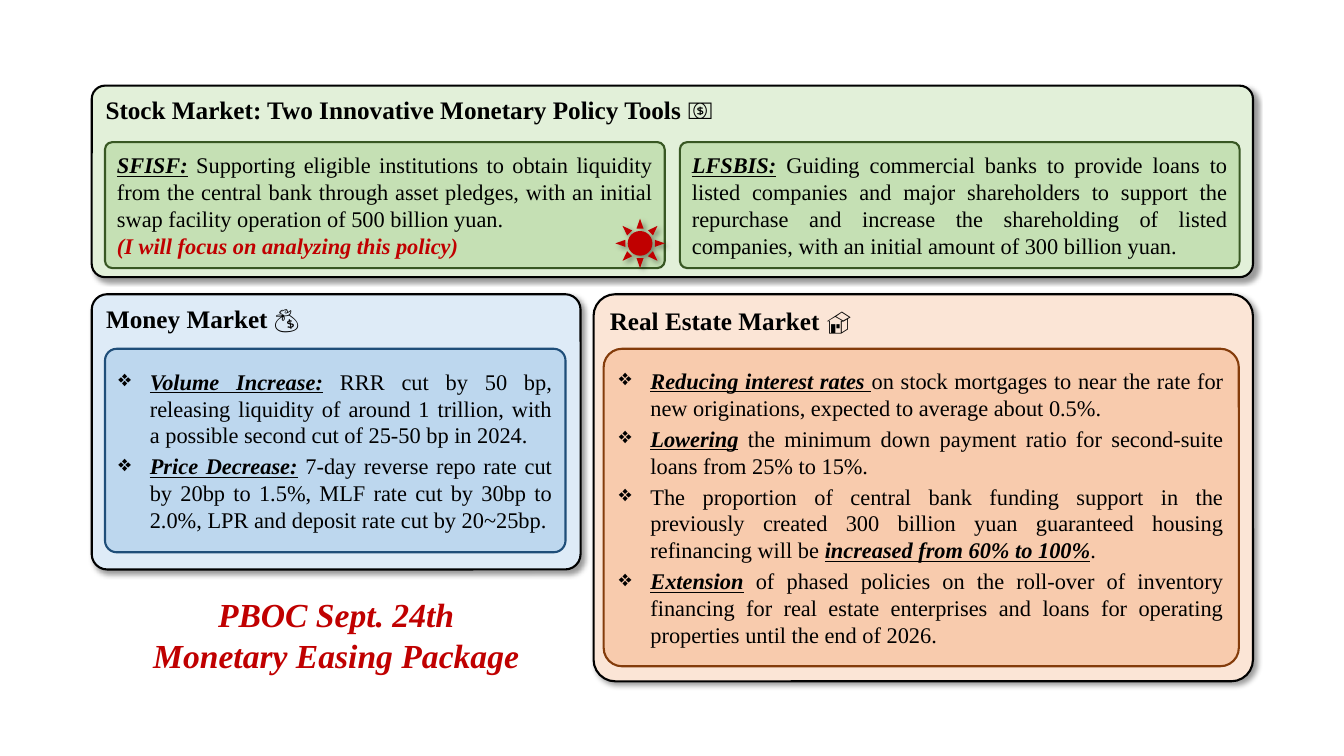
from lxml.etree import SubElement
from pptx import Presentation
from pptx.dml.color import RGBColor
from pptx.enum.shapes import MSO_SHAPE
from pptx.enum.text import MSO_ANCHOR, PP_ALIGN
from pptx.oxml.ns import qn
from pptx.util import Pt

FONT = "Times New Roman"
HEX = {
    "black": "000000", "red": "C00000",
    "mint": "E2F0D9", "green": "C5E0B4", "pine": "385723",
    "ice": "DEEBF7", "blue": "BDD7EE", "navy": "1F4E79",
    "cream": "FBE5D6", "peach": "F8CBAD", "brown": "843C0B",
}

SFISF = [
    [("SFISF:", "biu"), (" ", "b"),
     ("Supporting eligible institutions to obtain liquidity from the central bank "
      "through asset pledges, with an initial swap facility operation of 500 billion yuan.", "")],
    [("(I will focus on analyzing this policy)", "bir")],
]
LFSBIS = [
    [("LFSBIS:", "biu"), (" ", "bi"),
     ("Guiding commercial banks to provide loans to listed companies and major "
      "shareholders to support the repurchase and increase the shareholding of listed "
      "companies, with an initial amount of 300 billion yuan.", "")],
]
MONEY = [
    [("Volume Increase:", "biu"),
     (" RRR cut by 50 bp, releasing liquidity of around 1 trillion, "
      "with a possible second cut of 25-50 bp in 2024.", "")],
    [("Price Decrease:", "biu"),
     (" 7-day reverse repo rate cut by 20bp to 1.5%, MLF rate cut by 30bp to 2.0%, "
      "LPR and deposit rate cut by 20~25bp.", "")],
]
ESTATE = [
    [("Reducing interest rates ", "biu"),
     ("on stock mortgages to near the rate for new originations, "
      "expected to average about 0.5%.", "")],
    [("Lowering", "biu"),
     (" the minimum down payment ratio for second-suite loans from 25% to 15%.", "")],
    [("The proportion of central bank funding support in the previously created "
      "300 billion yuan guaranteed housing refinancing will be ", ""),
     ("increased from 60% to 100%", "biu"), (".", "")],
    [("Extension", "biu"),
     (" of phased policies on the roll-over of inventory financing for real estate "
      "enterprises and loans for operating properties until the end of 2026.", "")],
]


def color(name):
    return RGBColor.from_string(HEX[name])


def style(font, size, marks="", tint="black"):
    font.name = FONT
    font.size = Pt(size)
    font.bold = "b" in marks
    font.italic = "i" in marks
    font.underline = "u" in marks
    font.color.rgb = color("red" if "r" in marks else tint)


def add_shape(slide, kind, box, fill, line=None):
    shape = slide.shapes.add_shape(kind, *[Pt(n) for n in box])
    shape.shadow.inherit = False
    shape.fill.solid()
    shape.fill.fore_color.rgb = color(fill)
    if line:
        shape.line.color.rgb = color(line)
        shape.line.width = Pt(1.5)
    else:
        shape.line.fill.background()
    return shape


def add_shadow(shape):
    effects = shape._element.spPr.find(qn("a:effectLst"))
    outer = SubElement(effects, qn("a:outerShdw"), blurRad=str(Pt(4)), dist=str(Pt(3)),
                       dir="2700000", algn="tl", rotWithShape="0")
    tint = SubElement(outer, qn("a:srgbClr"), val=HEX["black"])
    SubElement(tint, qn("a:alpha"), val="40000")


def add_bullet(para):
    props = para._p.get_or_add_pPr()
    props.set("marL", str(Pt(22.5)))
    props.set("indent", str(-Pt(22.5)))
    SubElement(props, qn("a:buChar"), char="❖")
    para.space_after = Pt(3)


def add_panel(slide, box, title, fill, curve):
    panel = add_shape(slide, MSO_SHAPE.ROUNDED_RECTANGLE, box, fill, "black")
    panel.adjustments[0] = curve
    add_shadow(panel)
    frame = panel.text_frame
    frame.word_wrap = True
    frame.vertical_anchor = MSO_ANCHOR.TOP
    frame.text = title
    para = frame.paragraphs[0]
    para.alignment = PP_ALIGN.LEFT
    style(para.runs[0].font, 18, "b")


def add_card(slide, box, paras, fill, line, bullets=False):
    card = add_shape(slide, MSO_SHAPE.ROUNDED_RECTANGLE, box, fill, line)
    card.adjustments[0] = 0.058
    frame = card.text_frame
    frame.word_wrap = True
    frame.vertical_anchor = MSO_ANCHOR.MIDDLE
    for i, parts in enumerate(paras):
        para = frame.add_paragraph() if i else frame.paragraphs[0]
        para.alignment = PP_ALIGN.JUSTIFY
        if bullets:
            add_bullet(para)
        for text, marks in parts:
            run = para.add_run()
            run.text = text
            style(run.font, 16, marks)


def add_stock(slide, box):
    left, top, width, height = box
    add_panel(slide, box, "Stock Market: Two Innovative Monetary Policy Tools 💵", "mint", 0.07)
    pad, gap, sun = 9.5, 10.8, 35.3
    wide, tall = (width - 2 * pad - gap) / 2, 90
    y = top + 40.3
    for i, paras in enumerate((SFISF, LFSBIS)):
        x = left + pad + i * (wide + gap)
        add_card(slide, (x, y, wide, tall), paras, "green", "pine")
    spot = (left + pad + wide - sun, y + tall - sun, sun, sun)
    add_shadow(add_shape(slide, MSO_SHAPE.SUN, spot, "red"))


def add_market(slide, box, title, paras, shades, pads):
    left, top, width, height = box
    fill, inner, line = shades
    west, east, south = pads
    head = 38.9
    add_panel(slide, box, title, fill, 0.056)
    card = (left + west, top + head, width - west - east, height - head - south)
    add_card(slide, card, paras, inner, line, True)


def add_title(slide, box):
    frame = slide.shapes.add_textbox(*[Pt(n) for n in box]).text_frame
    frame.word_wrap = True
    frame.vertical_anchor = MSO_ANCHOR.MIDDLE
    frame.text = "PBOC Sept. 24th\nMonetary Easing Package"
    for para in frame.paragraphs:
        para.alignment = PP_ALIGN.CENTER
        style(para.runs[0].font, 24, "bi", "red")


def main():
    deck = Presentation()
    deck.slide_width, deck.slide_height = Pt(960), Pt(540)
    slide = deck.slides.add_slide(deck.slide_layouts[6])
    left, right, mid, end = 65.5, 895, 210.2, 486.7
    split, west = 424, 349.2
    add_title(slide, (left, 419.7, west, end - 419.7))
    add_stock(slide, (left, 61.2, right - left, 136.8))
    add_market(slide, (left, mid, west, 196.6), "Money Market 💰", MONEY,
               ("ice", "blue", "navy"), (9.5, 10.7, 12.3))
    add_market(slide, (split, mid, right - split, end - mid), "Real Estate Market 🏠", ESTATE,
               ("cream", "peach", "brown"), (7.2, 10.1, 10.8))
    deck.save("out.pptx")


if __name__ == "__main__":
    main()
